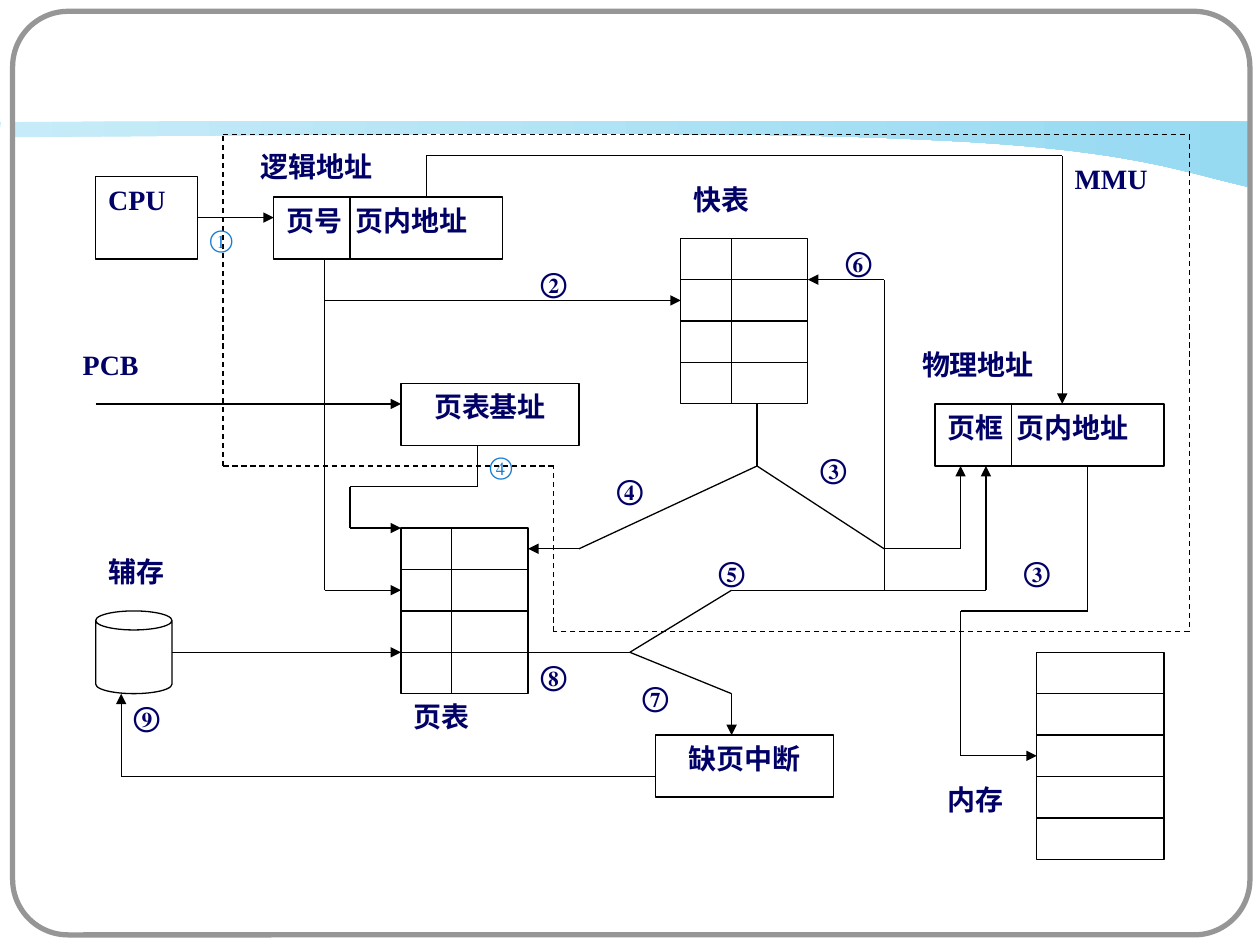
from collections import namedtuple
from itertools import pairwise

from lxml import etree
from pptx import Presentation
from pptx.dml.color import RGBColor
from pptx.enum.dml import MSO_LINE
from pptx.enum.shapes import MSO_CONNECTOR, MSO_SHAPE
from pptx.enum.text import MSO_ANCHOR, PP_ALIGN
from pptx.oxml import parse_xml
from pptx.oxml.ns import nsdecls, qn
from pptx.util import Inches, Pt

COLORS = {
    "white": "FFFFFF", "frame": "969696", "line": "000000", "text": "000066",
    "accent": "167BD6", "wave_start": "C7EBF8", "wave_end": "96DAF2",
}
FONT = "Times New Roman"
RECTANGLE, ROUNDED, CAN = MSO_SHAPE.RECTANGLE, MSO_SHAPE.ROUNDED_RECTANGLE, MSO_SHAPE.CAN
STRAIGHT = MSO_CONNECTOR.STRAIGHT
DASH = MSO_LINE.DASH
TOP = MSO_ANCHOR.TOP
CENTER, JUSTIFY = PP_ALIGN.CENTER, PP_ALIGN.JUSTIFY

Grid = namedtuple("Grid", "left top column row")


def color(name):
    return RGBColor.from_string(COLORS[name])


def place(grid, column, row):
    return Inches(grid.left + column * grid.column), Inches(grid.top + row * grid.row)


def place_box(grid, column, row, columns, rows):
    return (*place(grid, column, row), Inches(columns * grid.column), Inches(rows * grid.row))


def write_text(shape, text, size=16, bold=True, color_name="text", align=JUSTIFY, tab=None):
    frame = shape.text_frame
    frame.word_wrap = True
    frame.vertical_anchor = TOP
    paragraph = frame.paragraphs[0]
    paragraph.alignment = align
    if tab:
        tabs = etree.SubElement(paragraph._p.get_or_add_pPr(), qn("a:tabLst"))
        etree.SubElement(tabs, qn("a:tab"), pos=str(Inches(tab)), algn="l")
    run = paragraph.add_run()
    run.text = text
    run.font.name = FONT
    run.font.size = Pt(size)
    run.font.bold = bold
    run.font.color.rgb = color(color_name)


def add_outline(slide, kind, box, line="line", width=0.75):
    shape = slide.shapes.add_shape(kind, *box)
    shape.shadow.inherit = False
    shape.fill.background()
    shape.line.color.rgb = color(line)
    shape.line.width = Pt(width)
    return shape


def add_route(slide, grid, points, arrow=True, dashed=False):
    for start, end in pairwise(points):
        connector = slide.shapes.add_connector(STRAIGHT, *place(grid, *start), *place(grid, *end))
        connector.line.color.rgb = color("line")
        connector.line.width = Pt(0.75)
        if dashed:
            connector.line.dash_style = DASH
        if arrow and end == points[-1]:
            connector.line._get_or_add_ln().append(
                parse_xml(f'<a:tailEnd {nsdecls("a")} type="triangle"/>'))
        etree.SubElement(connector._element.spPr, qn("a:effectLst"))


def add_cells(slide, grid, column, row, columns, rows, split=None):
    add_outline(slide, RECTANGLE, place_box(grid, column, row, columns, rows))
    for line_row in range(row + 2, row + rows - 1, 2):
        add_route(slide, grid, [(column, line_row), (column + columns, line_row)], arrow=False)
    if split:
        add_route(slide, grid, [(column + split, row), (column + split, row + rows)], arrow=False)


def curve(start, first, second, end, steps=30):
    return [
        tuple((1 - t) ** 3 * a + 3 * (1 - t) ** 2 * t * b + 3 * (1 - t) * t ** 2 * c + t ** 3 * d
              for a, b, c, d in zip(start, first, second, end))
        for t in (step / steps for step in range(1, steps + 1))
    ]


def draw_background(slide):
    points = [(9.92, 0.97)]
    points += curve((9.92, 0.97), (9.88, 0.95), (1.65, 0.96), (0, 0.97))
    points += [(0.02, 1.09)]
    points += curve((0.02, 1.09), (1.8, 1.08), (5.7, 1.02), (7.35, 1.11))
    points += curve((7.35, 1.11), (9, 1.18), (9.42, 1.38), (9.94, 1.49))
    builder = slide.shapes.build_freeform(Inches(9.94), Inches(1.49), scale=1)
    builder.add_line_segments([(Inches(x), Inches(y)) for x, y in points])
    wave = builder.convert_to_shape()
    wave.shadow.inherit = False
    wave.line.fill.background()
    wave.fill.gradient()
    wave.fill.gradient_angle = 0
    for stop, name in zip(wave.fill.gradient_stops, ("wave_start", "wave_end")):
        stop.color.rgb = color(name)
    for box, radius, line, width in (
        ((0.05, 0.05, 9.91, 7.4), 0.06, "white", 6),
        ((0.1, 0.09, 9.82, 7.33), 0.06, "frame", 3),
    ):
        frame = add_outline(slide, ROUNDED, [Inches(value) for value in box], line, width)
        frame.adjustments[0] = radius


def draw_components(slide, grid):
    for text, box, options in (
        ("CPU", (0, 2, 4, 4), {}),
        ("页号\t页内地址", (7, 3, 9, 3), {"tab": 0.55}),
        ("页表基址", (12, 12, 7, 3), {"align": CENTER}),
        ("页框\t页内地址", (33, 13, 9, 3), {"tab": 0.55}),
        ("缺页中断", (22, 29, 7, 3), {"align": CENTER}),
    ):
        write_text(add_outline(slide, RECTANGLE, place_box(grid, *box)), text, **options)
    for column, row in ((10, 3), (36, 13)):
        add_route(slide, grid, [(column, row), (column, row + 3)], arrow=False)
    add_outline(slide, CAN, place_box(grid, 0, 23, 3, 4))
    add_cells(slide, grid, 12, 19, 5, 8, split=2)
    add_cells(slide, grid, 23, 5, 5, 8, split=2)
    add_cells(slide, grid, 37, 25, 5, 10)


def draw_routes(slide, grid):
    for points in (
        [(4, 4), (7, 4)],
        [(9, 6), (9, 22), (12, 22)],
        [(9, 8), (23, 8)],
        [(26, 13), (26, 16), (19, 20), (17, 20)],
        [(26, 16), (31, 20), (34, 20), (34, 16)],
        [(15, 15), (15, 17), (10, 17), (10, 19), (12, 19)],
        [(17, 25), (21, 25), (25, 22), (35, 22), (35, 16)],
        [(21, 25), (25, 27), (25, 29)],
        [(22, 31), (1, 31), (1, 27)],
        [(3, 25), (12, 25)],
        [(13, 3), (13, 1), (38, 1), (38, 13)],
        [(0, 13), (12, 13)],
        [(31, 22), (31, 7), (28, 7)],
        [(39, 16), (39, 23), (34, 23), (34, 30), (37, 30)],
    ):
        add_route(slide, grid, points)
    boundary = [(5, 0), (43, 0), (43, 24), (18, 24), (18, 16), (5, 16), (5, 0)]
    add_route(slide, grid, boundary, arrow=False, dashed=True)


def draw_labels(slide, grid):
    accent = {"size": 14, "bold": False, "color_name": "accent"}
    for text, column, row, columns, options in (
        ("①", 4, 4, 3, accent), ("②", 17, 6, 3, {}), ("③", 28, 15, 3, {}),
        ("③", 36, 20, 3, {}), ("④", 15, 15, 3, accent), ("④", 20, 16, 3, {}),
        ("⑤", 24, 20, 4, {}), ("⑥", 29, 5, 4, {}), ("⑦", 21, 26, 4, {}),
        ("⑧", 17, 25, 4, {}), ("⑨", 1, 27, 4, {}), ("快表", 23, 2, 4, {}),
        ("页表", 12, 27, 4, {}), ("辅存", 0, 20, 4, {}), ("物理地址", 32, 10, 6, {}),
        ("MMU", 38, 1, 5, {}), ("PCB", -1, 10, 4, {}), ("内存", 33, 31, 4, {}),
        ("逻辑地址", 6, 0.4, 6, {}),
    ):
        label = slide.shapes.add_textbox(*place_box(grid, column, row, columns, 3))
        write_text(label, text, **options)


def main():
    presentation = Presentation()
    presentation.slide_width, presentation.slide_height = Inches(10), Inches(7.5)
    slide = presentation.slides.add_slide(presentation.slide_layouts[6])
    grid = Grid(left=0.76, top=1.07, column=8.68 / 43, row=5.75 / 35)
    draw_background(slide)
    draw_components(slide, grid)
    draw_routes(slide, grid)
    draw_labels(slide, grid)
    presentation.save("out.pptx")


if __name__ == "__main__":
    main()
